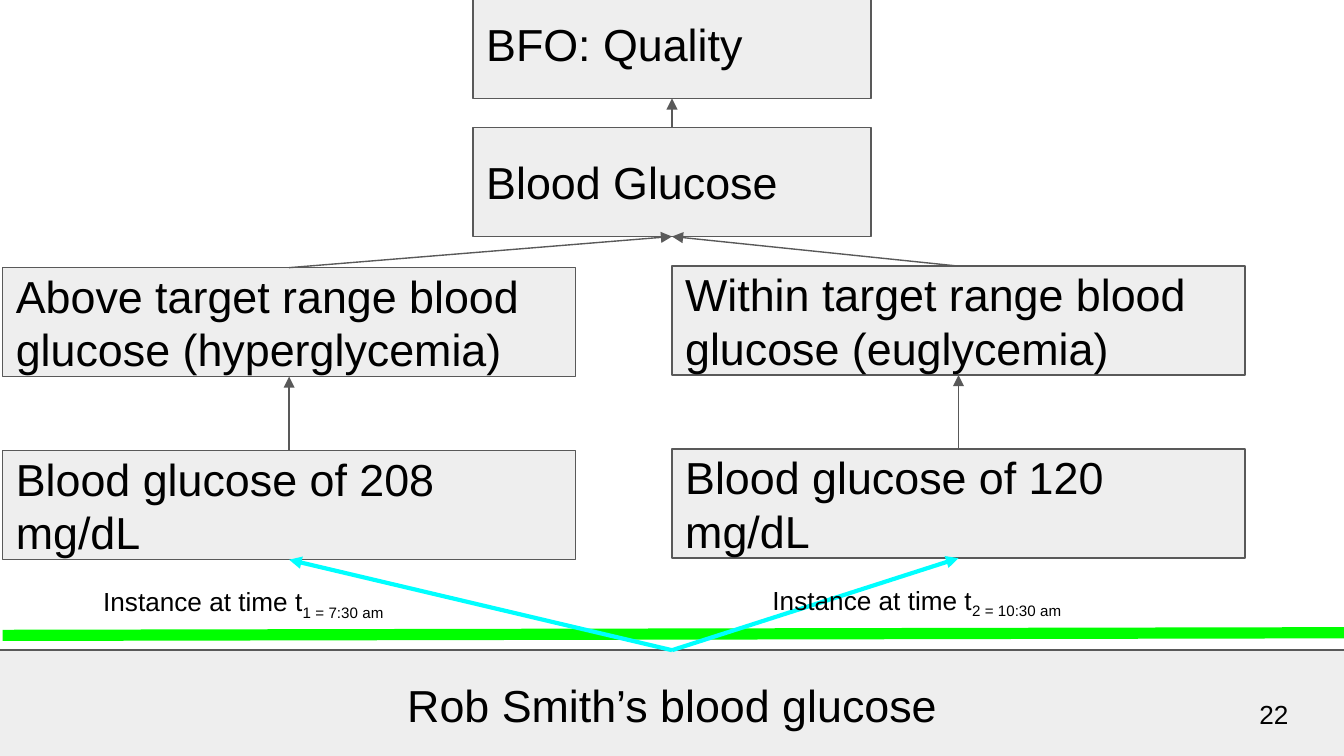
from lxml.etree import SubElement
from pptx import Presentation
from pptx.dml.color import RGBColor
from pptx.enum.shapes import MSO_CONNECTOR as Connector, MSO_SHAPE as Shape
from pptx.enum.text import MSO_ANCHOR as Anchor, PP_ALIGN as Align
from pptx.oxml.ns import qn
from pptx.util import Cm, Pt

BLACK = RGBColor(0x00, 0x00, 0x00)
LIGHT_GRAY = RGBColor(0xEE, 0xEE, 0xEE)
DARK_GRAY = RGBColor(0x59, 0x59, 0x59)
GREEN = RGBColor(0x00, 0xFF, 0x00)
CYAN = RGBColor(0x00, 0xFF, 0xFF)

BOX_HEIGHT = 2.06
MARGIN = 0.25
TOP_SITE, BOTTOM_SITE = 0, 2
CENTER_LEFT, CENTER_WIDTH = 8.94, 7.52
RANGE_WIDTH = 10.83

SHARED_CLASSES = [
    ("quality", "BFO: Quality", -0.2),
    ("glucose", "Blood Glucose", 2.41),
]
BRANCHES = [
    {
        "left": 0.05, "top": 5.06,
        "range": "Above target range blood glucose (hyperglycemia)",
        "value": "Blood glucose of 208 mg/dL",
        "time": "1 = 7:30 am",
    },
    {
        "left": 12.7, "top": 5.03,
        "range": "Within target range blood glucose (euglycemia)",
        "value": "Blood glucose of 120 mg/dL",
        "time": "2 = 10:30 am",
    },
]
PATIENT = "Rob Smith’s blood glucose"
TIME_PREFIX = "Instance at time t"
PAGE_NUMBER = "22"
VALUE_DROP, TIME_SHIFT, TIME_DROP = 3.46, 1.65, 5.76


def format_text(shape, size, anchor, align=Align.LEFT):
    frame = shape.text_frame
    frame.word_wrap = True
    frame.vertical_anchor = anchor
    frame.margin_left = frame.margin_right = Cm(MARGIN)
    frame.margin_top = frame.margin_bottom = Cm(MARGIN)
    paragraph = frame.paragraphs[0]
    paragraph.alignment = align
    paragraph.font.size = Pt(size)
    paragraph.font.name = "Arial"
    paragraph.font.color.rgb = BLACK
    return paragraph


def add_box(slide, text, left, top, width, align=Align.LEFT):
    shape = slide.shapes.add_shape(
        Shape.FLOWCHART_PROCESS, Cm(left), Cm(top), Cm(width), Cm(BOX_HEIGHT))
    shape.shadow.inherit = False
    shape.fill.solid()
    shape.fill.fore_color.rgb = LIGHT_GRAY
    shape.line.color.rgb = DARK_GRAY
    shape.line.width = Pt(0.75)
    format_text(shape, 24, Anchor.MIDDLE, align).add_run().text = text
    return shape


def add_label(slide, text, left, top, width, height, anchor):
    label = slide.shapes.add_textbox(Cm(left), Cm(top), Cm(width), Cm(height))
    paragraph = format_text(label, 14, anchor)
    paragraph.add_run().text = text
    return paragraph


def add_line(slide, color, width, start=(0, 0), end=(0, 0)):
    line = slide.shapes.add_connector(
        Connector.STRAIGHT, *(Cm(value) for value in start + end))
    line.line.color.rgb = color
    line.line.width = Pt(width)
    SubElement(line._element.spPr, qn("a:effectLst"))
    return line


def add_arrow(slide, source, target, color=DARK_GRAY, width=0.75):
    arrow = add_line(slide, color, width)
    arrow.begin_connect(source, TOP_SITE)
    arrow.end_connect(target, BOTTOM_SITE)
    SubElement(arrow.line._get_or_add_ln(), qn("a:tailEnd"), type="triangle")


def main():
    presentation = Presentation()
    presentation.slide_width, presentation.slide_height = Cm(25.4), Cm(14.29)
    slide = presentation.slides.add_slide(presentation.slide_layouts[6])

    shared = {name: add_box(slide, text, CENTER_LEFT, top, CENTER_WIDTH)
              for name, text, top in SHARED_CLASSES}
    add_arrow(slide, shared["glucose"], shared["quality"])

    patient = add_box(slide, PATIENT, -1.83, 12.29, 29.06, Align.CENTER)
    add_line(slide, GREEN, 6, (0.05, 12.01), (25.4, 11.96))

    for branch in BRANCHES:
        left, top = branch["left"], branch["top"]
        range_box = add_box(slide, branch["range"], left, top, RANGE_WIDTH)
        value_box = add_box(
            slide, branch["value"], left, top + VALUE_DROP, RANGE_WIDTH)
        add_arrow(slide, range_box, shared["glucose"])
        add_arrow(slide, value_box, range_box)
        add_arrow(slide, patient, value_box, CYAN, 2.25)
        time_label = add_label(slide, TIME_PREFIX, left + TIME_SHIFT,
                               top + TIME_DROP, 6.5, 0.89, Anchor.TOP)
        subscript = time_label.add_run()
        subscript.text = branch["time"]
        subscript.font._element.set("baseline", "-25000")

    add_label(slide, PAGE_NUMBER, 23.55, 12.95, 1.52, 1.09, Anchor.MIDDLE)
    presentation.save("out.pptx")


if __name__ == "__main__":
    main()
